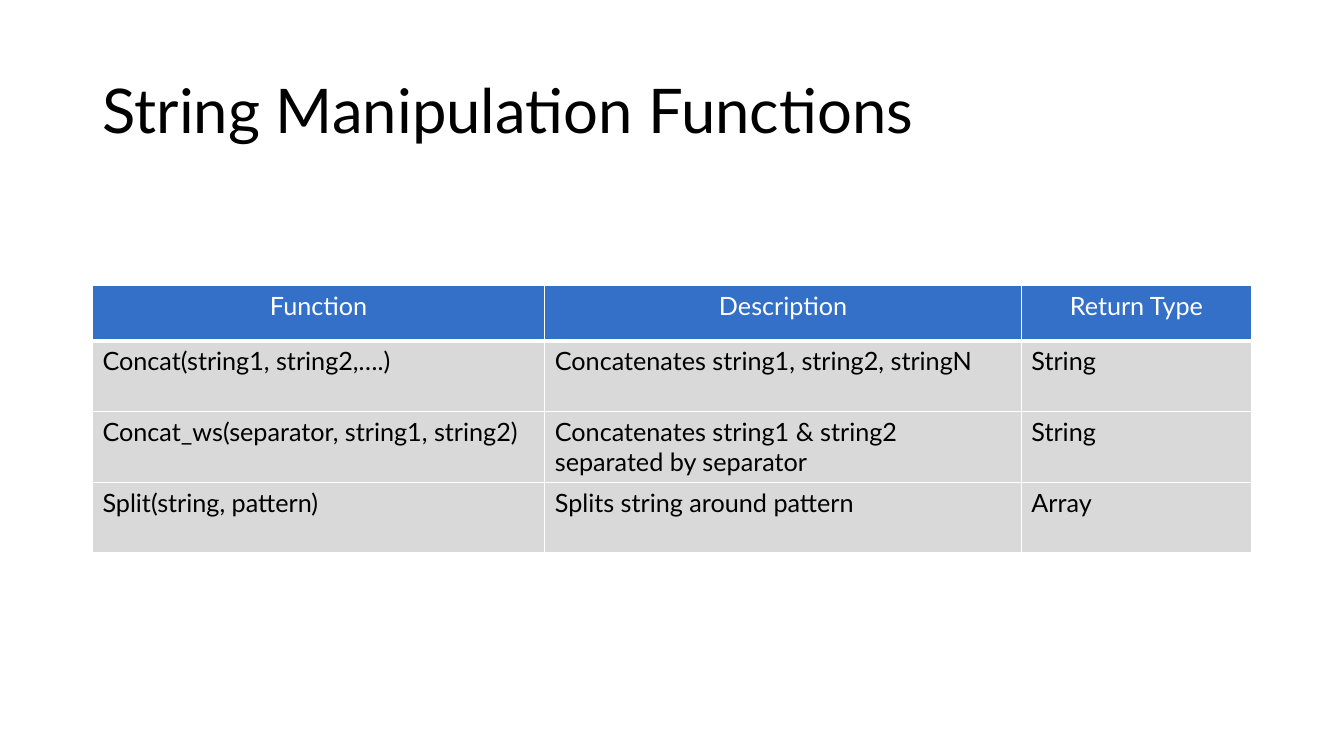
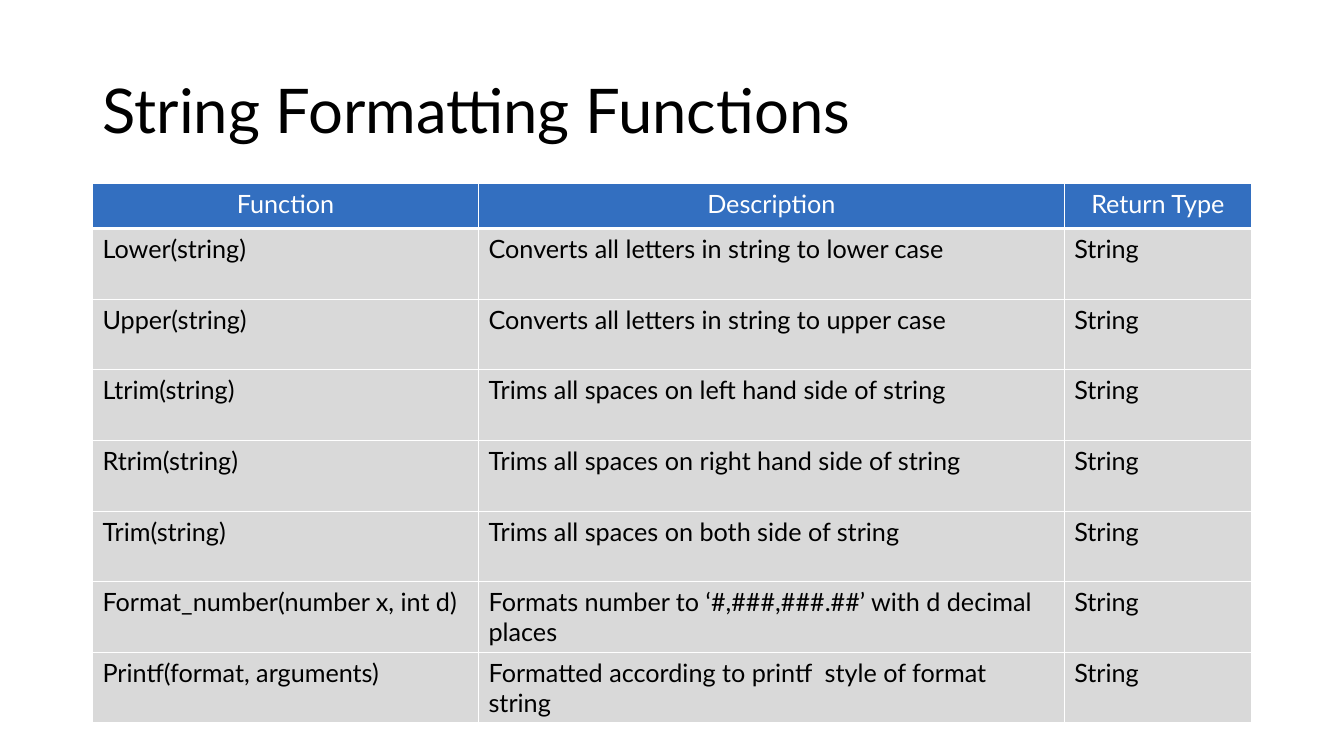
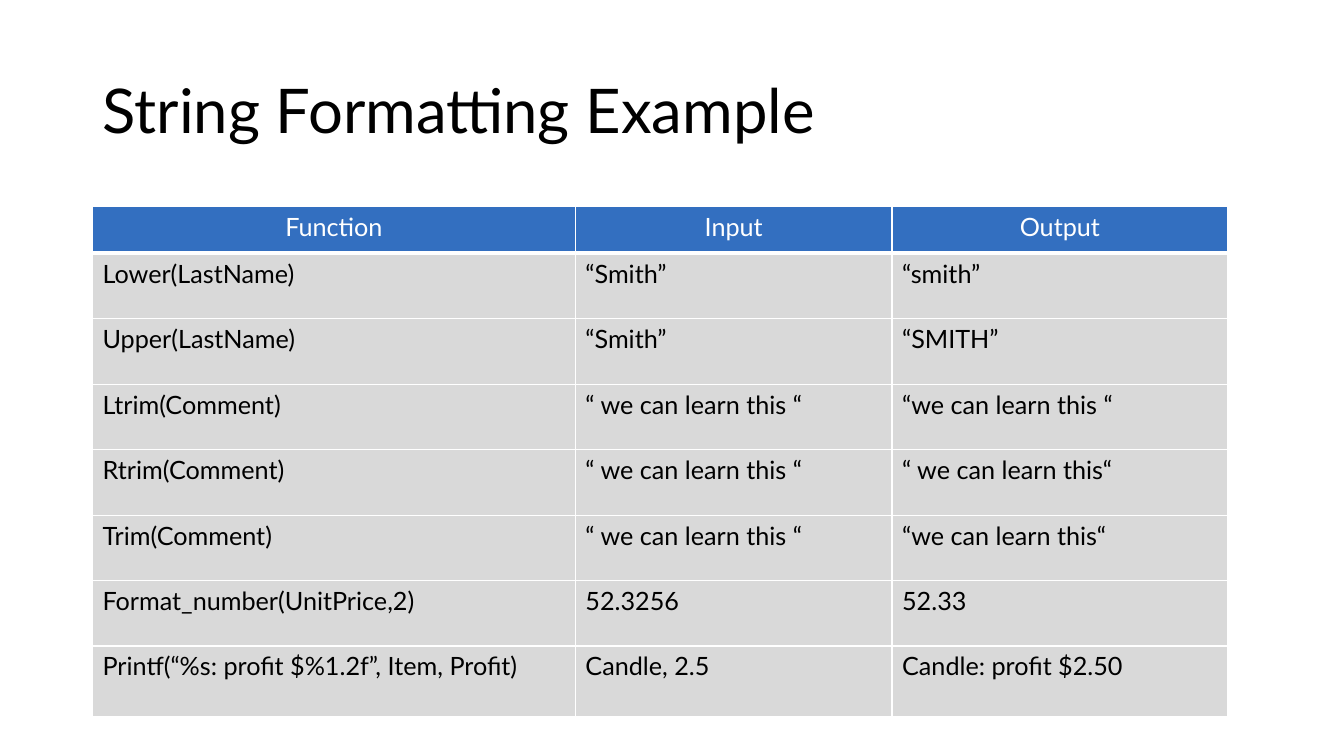
import pptx
import pptx.dml.color
import pptx.enum.text
import pptx.oxml
import pptx.oxml.ns
import pptx.util
from pptx.util import Cm

FONT = "Lato"
BLACK, WHITE, GREY = "000000", "FFFFFF", "D9D9D9"
BLUE, BRIGHT_BLUE = "336FC0", "346FC8"
LEFT, WIDTH = 2.33, 29.21
TITLE_BOX = (LEFT, 1.01, WIDTH, 3.68)
TALL_ROW = 1.78
ALIGN = pptx.enum.text.PP_ALIGN


def rgb(color):
    return pptx.dml.color.RGBColor.from_string(color)


def write(tf, text, size=18, color=BLACK, align=ALIGN.LEFT, spacing=None):
    p = tf.paragraphs[0]
    p.alignment = align
    p.line_spacing = spacing
    r = p.add_run()
    r.text = text
    r.font.name = FONT
    r.font.size = pptx.util.Pt(size)
    r.font.bold = False
    r.font.color.rgb = rgb(color)


def set_borders(cell, top=1, bottom=1):
    """Draw white edges; call before the cell is filled, as the schema puts lines first."""
    tc_pr = cell._tc.get_or_add_tcPr()
    for side, width in (("L", 1), ("R", 1), ("T", top), ("B", bottom)):
        tc_pr.append(pptx.oxml.parse_xml(
            f'<a:ln{side} {pptx.oxml.ns.nsdecls("a")} w="{pptx.util.Pt(width)}">'
            f'<a:solidFill><a:srgbClr val="{WHITE}"/></a:solidFill></a:ln{side}>'))


def add_title(slide, box, text):
    sp = slide.shapes.title
    sp.left, sp.top, sp.width, sp.height = map(Cm, box)
    tf = sp.text_frame
    tf.vertical_anchor = pptx.enum.text.MSO_ANCHOR.MIDDLE
    write(tf, text, size=44, spacing=0.9)


def add_function_table(slide, left, top, widths, heights, rows, header_fill=BLUE):
    table = slide.shapes.add_table(
        len(rows), len(widths), Cm(left), Cm(top),
        Cm(sum(widths)), Cm(sum(heights))).table
    table.horz_banding = False
    for column, width in zip(table.columns, widths):
        column.width = Cm(width)
    for i, (height, texts) in enumerate(zip(heights, rows)):
        table.rows[i].height = Cm(height)
        header = i == 0
        for j, text in enumerate(texts):
            cell = table.cell(i, j)
            set_borders(cell, top=3 if i == 1 else 1, bottom=3 if header else 1)
            cell.fill.solid()
            cell.fill.fore_color.rgb = rgb(header_fill if header else GREY)
            write(cell.text_frame, text, color=WHITE if header else BLACK,
                  align=ALIGN.CENTER if header else ALIGN.LEFT)


def add_table_slide(prs, title, top, **table):
    slide = prs.slides.add_slide(prs.slide_layouts.get_by_name("Title Only"))
    add_title(slide, TITLE_BOX, title)
    add_function_table(slide, LEFT, top, **table)


def main():
    prs = pptx.Presentation()
    prs.slide_width, prs.slide_height = Cm(33.87), Cm(19.05)

    add_table_slide(
        prs, "String Manipulation Functions", 7.19,
        widths=[11.4, 12.01, 5.8], heights=[1.4] + [TALL_ROW] * 3,
        header_fill=BRIGHT_BLUE,
        rows=[
            ("Function", "Description", "Return Type"),
            ("Concat(string1, string2,….)", "Concatenates string1, string2, stringN", "String"),
            ("Concat_ws(separator, string1, string2)",
             "Concatenates string1 & string2 separated by separator", "String"),
            ("Split(string, pattern)", "Splits string around pattern", "Array"),
        ])

    add_table_slide(
        prs, "String Formatting Functions", 4.62,
        widths=[9.73, 14.76, 4.72], heights=[1.14] + [TALL_ROW] * 7,
        rows=[
            ("Function", "Description", "Return Type"),
            ("Lower(string)", "Converts all letters in string to lower case", "String"),
            ("Upper(string)", "Converts all letters in string to upper case", "String"),
            ("Ltrim(string)", "Trims all spaces on left hand side of string", "String"),
            ("Rtrim(string)", "Trims all spaces on right hand side of string", "String"),
            ("Trim(string)", "Trims all spaces on both side of string", "String"),
            ("Format_number(number x, int d)",
             "Formats number to ‘#,###,###.##’ with d decimal places", "String"),
            ("Printf(format, arguments)",
             "Formatted according to printf  style of format string", "String"),
        ])

    add_table_slide(
        prs, "String Formatting Example", 5.21,
        widths=[12.17, 7.98, 8.46], heights=[1.17] + [1.65] * 6 + [TALL_ROW],
        rows=[
            ("Function", "Input", "Output"),
            ("Lower(LastName)", "“Smith”", "“smith”"),
            ("Upper(LastName)", "“Smith”", "“SMITH”"),
            ("Ltrim(Comment)", "“ we can learn this “", "“we can learn this “"),
            ("Rtrim(Comment)", "“ we can learn this “", "“ we can learn this“"),
            ("Trim(Comment)", "“ we can learn this “", "“we can learn this“"),
            ("Format_number(UnitPrice,2)", "52.3256", "52.33"),
            ("Printf(“%s: profit $%1.2f”, Item, Profit)", "Candle, 2.5",
             "Candle: profit $2.50"),
        ])

    prs.save("out.pptx")


if __name__ == "__main__":
    main()
